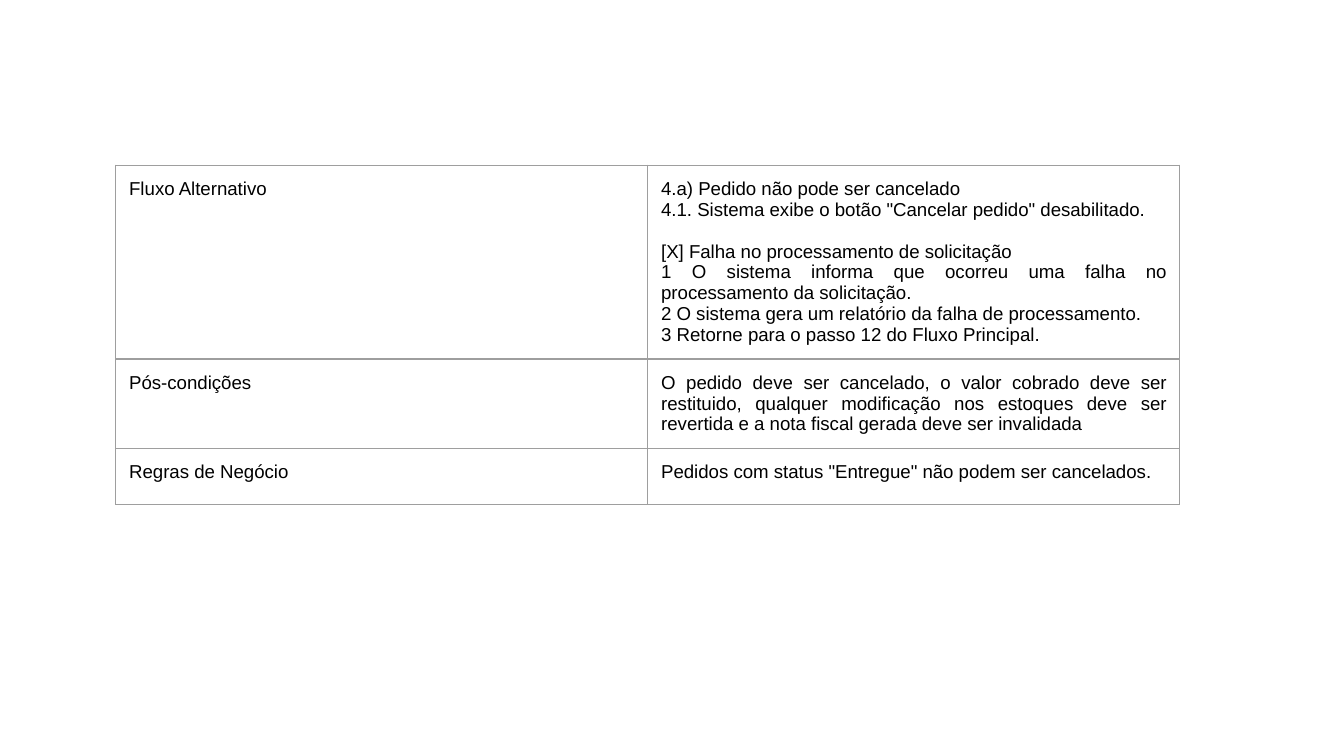
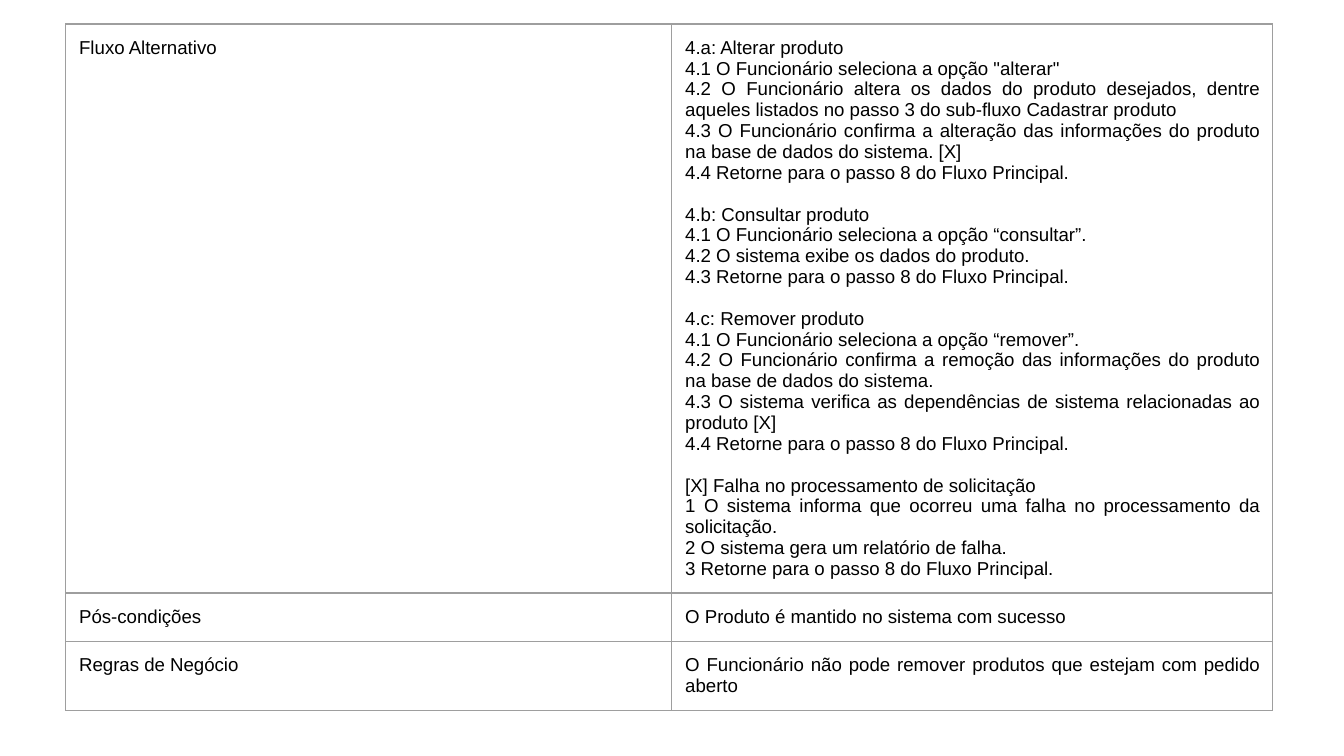
from lxml import etree
from pptx import Presentation
from pptx.dml.color import RGBColor
from pptx.enum import text as tx
from pptx.oxml import ns
from pptx.util import Pt

BLACK = RGBColor(0x00, 0x00, 0x00)
GREY = RGBColor(0x9E, 0x9E, 0x9E)
FONT = "Arial"
SIZE = 10
GAP = 11.2  # one line, set before each new group of steps
INSET = Pt(7.2)
LABELS = ["Fluxo Alternativo", "Pós-condições", "Regras de Negócio"]

# Each right-hand cell is a list of groups, each group a list of lines.
CANCEL = [
    [
        [
            "4.a) Pedido não pode ser cancelado",
            '4.1. Sistema exibe o botão "Cancelar pedido" desabilitado.',
        ],
        [
            "[X] Falha no processamento de solicitação",
            "1 O sistema informa que ocorreu uma falha no processamento da solicitação.",
            "2 O sistema gera um relatório da falha de processamento.",
            "3 Retorne para o passo 12 do Fluxo Principal.",
        ],
    ],
    [[
        "O pedido deve ser cancelado, o valor cobrado deve ser restituido, "
        "qualquer modificação nos estoques deve ser revertida e a nota fiscal "
        "gerada deve ser invalidada"
    ]],
    [['Pedidos com status "Entregue" não podem ser cancelados.']],
]
PRODUCT = [
    [
        [
            "4.a: Alterar produto",
            '4.1 O Funcionário seleciona a opção "alterar"',
            "4.2 O Funcionário altera os dados do produto desejados, dentre "
            "aqueles listados no passo 3 do sub-fluxo Cadastrar produto",
            "4.3 O Funcionário confirma a alteração das informações do produto "
            "na base de dados do sistema. [X]",
            "4.4 Retorne para o passo 8 do Fluxo Principal.",
        ],
        [
            "4.b: Consultar produto",
            "4.1 O Funcionário seleciona a opção “consultar”.",
            "4.2 O sistema exibe os dados do produto.",
            "4.3 Retorne para o passo 8 do Fluxo Principal.",
        ],
        [
            "4.c: Remover produto",
            "4.1 O Funcionário seleciona a opção “remover”.",
            "4.2 O Funcionário confirma a remoção das informações do produto "
            "na base de dados do sistema.",
            "4.3 O sistema verifica as dependências de sistema relacionadas "
            "ao produto [X]",
            "4.4 Retorne para o passo 8 do Fluxo Principal.",
        ],
        [
            "[X] Falha no processamento de solicitação",
            "1 O sistema informa que ocorreu uma falha no processamento da solicitação.",
            "2 O sistema gera um relatório de falha.",
            "3 Retorne para o passo 8 do Fluxo Principal.",
        ],
    ],
    [["O Produto é mantido no sistema com sucesso"]],
    [["O Funcionário não pode remover produtos que estejam com pedido aberto"]],
]


def write(frame, groups, align=tx.PP_ALIGN.LEFT, size=SIZE, color=BLACK):
    """Write groups of lines, one paragraph a line, with a gap between groups."""
    para = None
    for group in groups:
        for i, line in enumerate(group):
            first = para is None
            para = frame.paragraphs[0] if first else frame.add_paragraph()
            para.alignment = align
            if i == 0 and not first:
                para.space_before = Pt(GAP)
            run = para.add_run()
            run.text = line
            run.font.name = FONT
            run.font.size = Pt(size)
            run.font.color.rgb = color


def outline(cell, color=GREY, width=0.75):
    props = cell._tc.get_or_add_tcPr()
    for side in ("a:lnL", "a:lnR", "a:lnT", "a:lnB"):
        line = etree.SubElement(props, ns.qn(side), w=str(Pt(width)))
        fill = etree.SubElement(line, ns.qn("a:solidFill"))
        etree.SubElement(fill, ns.qn("a:srgbClr"), val=str(color))


def style(cell):
    outline(cell)
    cell.fill.background()
    cell.margin_left = cell.margin_right = INSET
    cell.margin_top = cell.margin_bottom = INSET


def add_case(deck, details, left, top, widths, heights):
    """Add a slide with a use-case table; rows grow to fit their text."""
    slide = deck.slides.add_slide(deck.slide_layouts[6])
    table = slide.shapes.add_table(
        len(heights), len(widths), Pt(left), Pt(top),
        Pt(sum(widths)), Pt(sum(heights))).table
    table.first_row = table.horz_banding = False
    for col, width in zip(table.columns, widths):
        col.width = Pt(width)
    for row, height, label, groups in zip(table.rows, heights, LABELS, details):
        row.height = Pt(height)
        name, detail = row.cells
        style(name)
        style(detail)
        write(name.text_frame, [[label]])
        write(detail.text_frame, groups, align=tx.PP_ALIGN.JUSTIFY)


def main():
    deck = Presentation()
    deck.slide_width, deck.slide_height = Pt(720), Pt(405)
    add_case(deck, CANCEL, 62, 88.5, [285, 285], [30, 30, 30])
    add_case(deck, PRODUCT, 35.2, 12.8, [324.7, 322], [30, 26, 31])
    deck.save("out.pptx")


if __name__ == "__main__":
    main()
